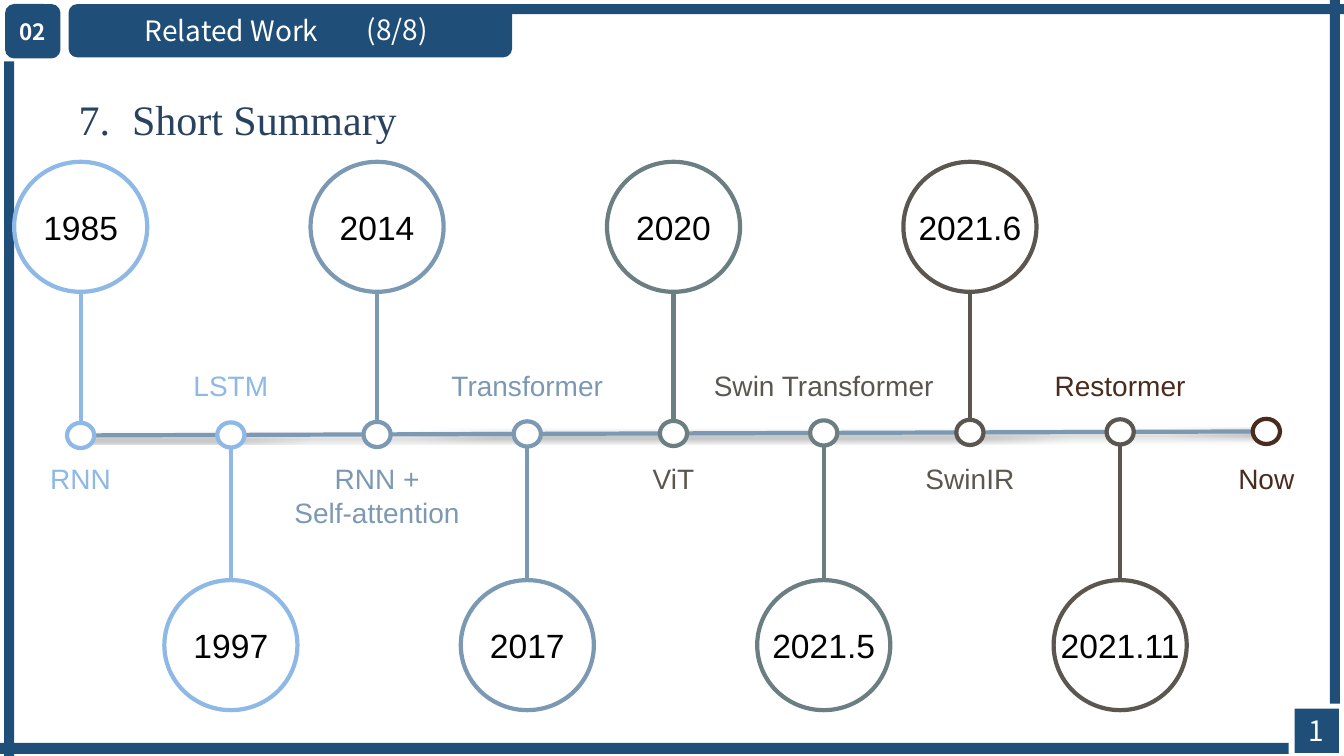
"""Builds a timeline slide that summarises related work."""
from dataclasses import dataclass

import pptx
import pptx.dml.color
import pptx.enum.shapes
import pptx.enum.text
import pptx.oxml
import pptx.oxml.ns
import pptx.util

Inches = pptx.util.Inches
Shapes = pptx.enum.shapes.MSO_SHAPE
Align = pptx.enum.text.PP_ALIGN
Anchor = pptx.enum.text.MSO_ANCHOR


@dataclass(frozen=True)
class Theme:
    navy: str = "1F4E79"
    title: str = "29425F"
    white: str = "FFFFFF"
    black: str = "000000"
    sky: str = "8EB8E5"
    steel: str = "7C99B4"
    slate: str = "6B7F82"
    stone: str = "5B5750"
    brown: str = "492C1D"
    frame_font: str = "Noto Sans CJK SC"
    title_font: str = "Times New Roman"
    body_font: str = "Arial"
    badge_size: int = 16
    label_size: int = 20
    year_size: int = 24
    title_size: int = 30
    line_width: int = 3


THEME = Theme()
WIDTH, HEIGHT = 13.33, 7.5
FIRST_COLUMN, COLUMN, LOWER_SHIFT = 0.8, 1.47, 0.02
AXIS_TOP, AXIS_RISE = 4.32, 0.005
NODE = (0.27, 0.25)
CIRCLE = (1.32, 1.29)
UPPER_CIRCLE, LOWER_CIRCLE = 2.25, 6.4
UPPER_LABEL, LOWER_LABEL = 3.61, 4.53
LABEL_WIDTH, LINE_HEIGHT = 2.4, 0.33

MILESTONES = [
    ("1985", ["RNN"], THEME.sky, THEME.sky),
    ("1997", ["LSTM"], THEME.sky, THEME.sky),
    ("2014", ["RNN +", "Self-attention"], THEME.steel, THEME.steel),
    ("2017", ["Transformer"], THEME.steel, THEME.steel),
    ("2020", ["ViT"], THEME.slate, THEME.stone),
    ("2021.5", ["Swin Transformer"], THEME.slate, THEME.stone),
    ("2021.6", ["SwinIR"], THEME.stone, THEME.stone),
    ("2021.11", ["Restormer"], THEME.stone, THEME.brown),
    (None, ["Now"], THEME.brown, THEME.brown),
]


def rgb(code):
    """Return the colour for a hexadecimal code."""
    return pptx.dml.color.RGBColor.from_string(code)


def write(shape, lines, font, size, color, align=Align.CENTER, bold=False):
    """Write one run per line into a shape."""
    frame = shape.text_frame
    for index, line in enumerate(lines):
        paragraph = frame.add_paragraph() if index else frame.paragraphs[0]
        paragraph.alignment = align
        run = paragraph.add_run()
        run.text = line
        run.font.name = font
        run.font.size = pptx.util.Pt(size)
        run.font.bold = bold
        run.font.color.rgb = rgb(color)


def add_block(slide, kind, left, top, width, height):
    """Add a solid piece of the frame."""
    shape = slide.shapes.add_shape(
        kind, Inches(left), Inches(top), Inches(width), Inches(height))
    shape.shadow.inherit = False
    shape.fill.solid()
    shape.fill.fore_color.rgb = rgb(THEME.navy)
    shape.line.fill.background()
    frame = shape.text_frame
    frame.margin_left = frame.margin_right = 0
    frame.vertical_anchor = Anchor.MIDDLE
    return shape


def add_ring(slide, center_x, center_y, size, color):
    """Add a white ellipse with a coloured outline around a centre."""
    width, height = size
    shape = slide.shapes.add_shape(
        Shapes.OVAL, Inches(center_x - width / 2),
        Inches(center_y - height / 2), Inches(width), Inches(height))
    shape.shadow.inherit = False
    shape.fill.solid()
    shape.fill.fore_color.rgb = rgb(THEME.white)
    shape.line.color.rgb = rgb(color)
    shape.line.width = pptx.util.Pt(THEME.line_width)
    return shape


def add_line(slide, start, end, color, effects=""):
    """Add a straight line with the given effects."""
    line = slide.shapes.add_connector(
        pptx.enum.shapes.MSO_CONNECTOR.STRAIGHT,
        *(Inches(value) for value in (*start, *end)))
    line.line.color.rgb = rgb(color)
    line.line.width = pptx.util.Pt(THEME.line_width)
    line._element.spPr.append(pptx.oxml.parse_xml(
        f'<a:effectLst {pptx.oxml.ns.nsdecls("a")}>{effects}</a:effectLst>'))
    return line


def add_text_box(slide, left, top, width, height):
    """Add an empty wrapping text box."""
    box = slide.shapes.add_textbox(
        Inches(left), Inches(top), Inches(width), Inches(height))
    box.text_frame.word_wrap = True
    return box


def node_center(index):
    """Return the centre of a timeline node."""
    shift = LOWER_SHIFT if index % 2 else 0
    return (FIRST_COLUMN + COLUMN * index + shift,
            AXIS_TOP - AXIS_RISE * index)


def add_frame(slide):
    """Add the header, the border bars and the page number."""
    badge = add_block(slide, Shapes.ROUNDED_RECTANGLE, 0.05, 0.04, 0.55, 0.54)
    write(badge, ["02"], THEME.frame_font, THEME.badge_size, THEME.white,
          bold=True)
    header = add_block(slide, Shapes.ROUNDED_RECTANGLE, 0.68, 0.04, 4.4, 0.53)
    header.text_frame.margin_left = Inches(0.73)
    write(header, ["Related Work"], THEME.frame_font, THEME.label_size,
          THEME.white, Align.LEFT)
    for bar in [(0.77, 0.04, WIDTH - 0.77, 0.1), (0, 7.37, 12.78, 0.11),
                (13.19, 0, 0.1, 6.98), (0.04, 0.61, 0.1, HEIGHT - 0.61)]:
        add_block(slide, Shapes.RECTANGLE, *bar)
    page = add_block(slide, Shapes.RECTANGLE, 12.84, 7.03, 0.44, 0.44)
    write(page, ["1"], THEME.frame_font, THEME.label_size, THEME.white)
    counter = add_text_box(slide, 3.54, 0.08, 1.3, 0.44)
    write(counter, ["(8/8)"], THEME.frame_font, THEME.label_size,
          THEME.white, Align.LEFT)


def add_title(slide):
    """Fill the title placeholder with a numbered heading."""
    title = slide.shapes.title
    title.left, title.top = Inches(0.68), Inches(0.87)
    title.width, title.height = Inches(12.1), Inches(0.61)
    title.text_frame.vertical_anchor = Anchor.MIDDLE
    properties = title.text_frame.paragraphs[0]._p.get_or_add_pPr()
    properties.set("marL", str(Inches(0.53)))
    properties.set("indent", str(-Inches(0.53)))
    write(title, ["7.\tShort Summary"], THEME.title_font, THEME.title_size,
          THEME.title, Align.LEFT)


def add_milestone(slide, index, year, label, color, label_color):
    """Add a node with its label and, when dated, its year circle."""
    x, y = node_center(index)
    below = index % 2
    add_ring(slide, x, y, NODE, color)
    if year:
        side = 1 if below else -1
        circle_y = LOWER_CIRCLE if below else UPPER_CIRCLE
        add_line(slide, (x, circle_y - side * CIRCLE[1] / 2),
                 (x, y + side * NODE[1] / 2), color)
        circle = add_ring(slide, x, circle_y, CIRCLE, color)
        circle.text_frame.word_wrap = False
        circle.text_frame.vertical_anchor = Anchor.MIDDLE
        write(circle, [year], THEME.body_font, THEME.year_size, THEME.black)
    box = add_text_box(slide, x - LABEL_WIDTH / 2,
                       UPPER_LABEL if below else LOWER_LABEL,
                       LABEL_WIDTH, 0.11 + LINE_HEIGHT * len(label))
    box.text_frame.word_wrap = False
    write(box, label, THEME.body_font, THEME.label_size, label_color)


def main():
    """Build and save the slide."""
    presentation = pptx.Presentation()
    presentation.slide_width = Inches(WIDTH)
    presentation.slide_height = Inches(HEIGHT)
    slide = presentation.slides.add_slide(presentation.slide_layouts[5])
    add_frame(slide)
    add_title(slide)
    shadow = ('<a:outerShdw blurRad="39400" dist="20300" dir="5400000">'
              f'<a:srgbClr val="{THEME.black}"><a:alpha val="38000"/>'
              '</a:srgbClr></a:outerShdw>')
    add_line(slide, node_center(0), node_center(len(MILESTONES) - 1),
             THEME.steel, shadow)
    for index, milestone in enumerate(MILESTONES):
        add_milestone(slide, index, *milestone)
    presentation.save("out.pptx")


if __name__ == "__main__":
    main()
